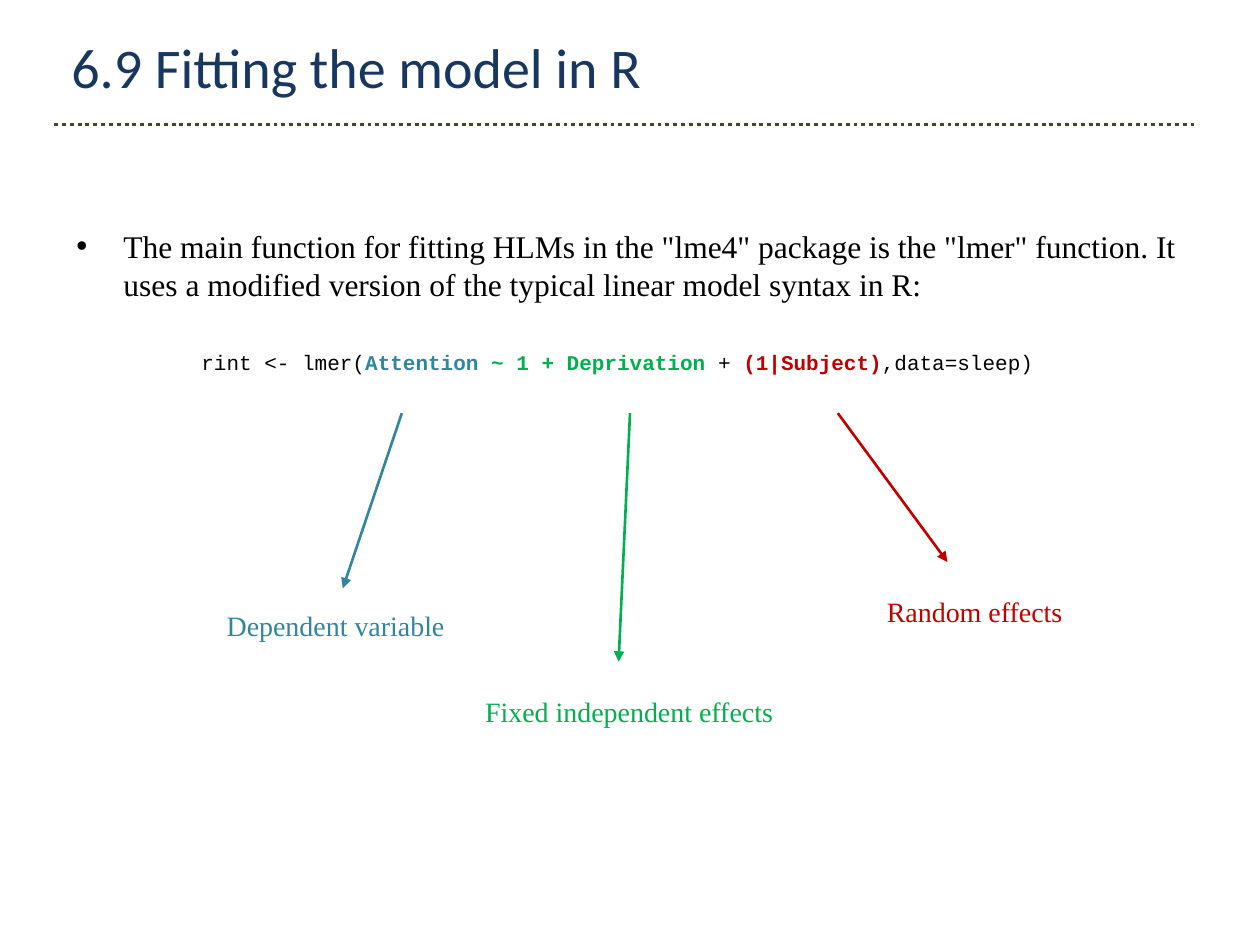
from lxml import etree
from pptx import Presentation
from pptx.dml.color import RGBColor
from pptx.enum.dml import MSO_LINE
from pptx.enum.shapes import MSO_CONNECTOR
from pptx.oxml.ns import qn
from pptx.util import Cm, Pt

STRAIGHT = MSO_CONNECTOR.STRAIGHT
DOTTED = MSO_LINE.ROUND_DOT
SERIF = "Times New Roman"
MONO = "Courier New"
COLORS = {
    "title": "17375E",
    "rule": "4A452A",
    "text": "000000",
    "dependent": "31859C",
    "fixed": "00B050",
    "random": "C00000",
}


def add_text(para, text, size=18, font=SERIF, color="text", bold=False):
    span = para.add_run()
    span.text = text
    span.font.size = Pt(size)
    span.font.name = font
    span.font.bold = bold
    span.font.color.rgb = RGBColor.from_string(COLORS[color])


def add_line(start, end, color, width):
    line = page.shapes.add_connector(STRAIGHT, *map(Cm, start + end))
    line.line.color.rgb = RGBColor.from_string(COLORS[color])
    line.line.width = Pt(width)
    etree.SubElement(line._element.spPr, qn("a:effectLst"))
    return line


deck = Presentation()
deck.slide_width = Cm(25.4)
deck.slide_height = Cm(19.05)
page = deck.slides.add_slide(deck.slide_layouts[6])

body = page.shapes.add_textbox(Cm(1.27), Cm(4.45), Cm(22.86), Cm(13.69)).text_frame
body.word_wrap = True
intro = body.paragraphs[0]
intro.space_before = Pt(3.6)
add_text(
    intro,
    'The main function for fitting HLMs in the "lme4" package is the "lmer" function. '
    "It uses a modified version of the typical linear model syntax in R:",
)
intro_format = intro._p.get_or_add_pPr()
intro_format.set("marL", str(Cm(0.97)))
intro_format.set("indent", str(Cm(-0.95)))
etree.SubElement(intro_format, qn("a:buFont"), typeface="Arial")
etree.SubElement(intro_format, qn("a:buChar"), char="•")

code = body.add_paragraph()
code.space_before = Pt(27)
code._p.get_or_add_pPr().set("marL", str(Cm(2.54)))
for text, color, bold in [
    ("rint <- lmer(", "text", False),
    ("Attention", "dependent", True),
    (" ~ 1 + Deprivation", "fixed", True),
    (" + ", "text", False),
    ("(1|Subject)", "random", True),
    (",data=sleep)", "text", False),
]:
    add_text(code, text, size=12, font=MONO, color=color, bold=bold)

title = page.shapes.add_textbox(Cm(1.19), Cm(0.53), Cm(23.93), Cm(1.6)).text_frame
title.word_wrap = True
add_text(title.paragraphs[0], "6.9 Fitting the model in R", size=32, font="Calibri", color="title")

rule = add_line((1.09, 2.51), (24.1, 2.51), "rule", 2.25)
rule.line.dash_style = DOTTED

for text, color, left, top, width, start, end in [
    ("Dependent variable", "dependent", 4.32, 12.14, 4.9, (8.1, 8.33), (6.91, 11.86)),
    ("Fixed independent effects", "fixed", 9.53, 13.87, 6.32, (12.7, 8.33), (12.47, 13.34)),
    ("Random effects", "random", 17.63, 11.86, 4.04, (16.89, 8.33), (19.1, 11.33)),
]:
    label = page.shapes.add_textbox(Cm(left), Cm(top), Cm(width), Cm(0.91)).text_frame
    label.word_wrap = False
    add_text(label.paragraphs[0], text, size=16, color=color)
    arrow = add_line(start, end, color, 1.5)
    etree.SubElement(arrow.line._get_or_add_ln(), qn("a:tailEnd"), type="triangle")

deck.save("out.pptx")
